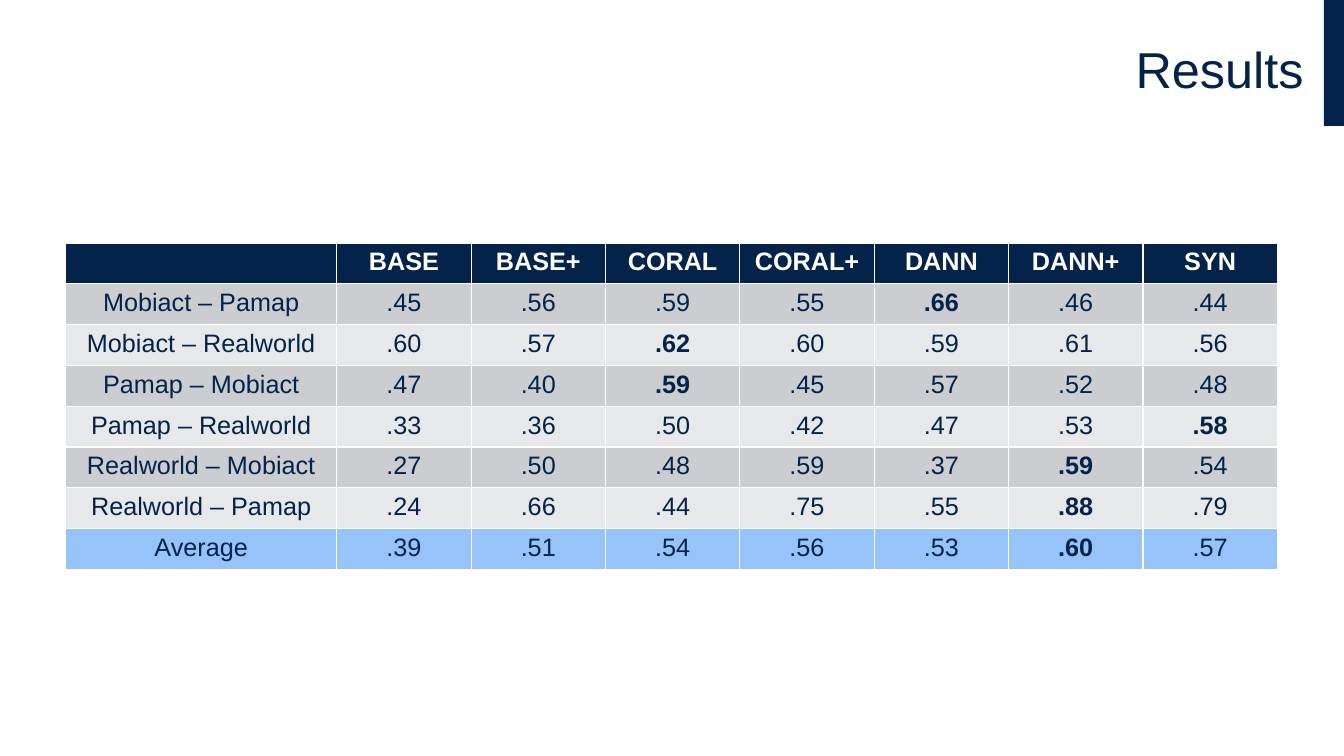
from dataclasses import dataclass

from pptx import Presentation
from pptx.dml.color import RGBColor
from pptx.enum.shapes import MSO_SHAPE
from pptx.enum.text import MSO_ANCHOR, PP_ALIGN
from pptx.util import Inches, Pt

NAVY = "03234B"
WHITE = "FFFFFF"
BLUE = "97C3FB"
BANDS = ("CCCDD0", "E7E8E9")

METHODS = ("BASE", "BASE+", "CORAL", "CORAL+", "DANN", "DANN+", "SYN")
TABLE_WIDTH, TABLE_HEIGHT, LABEL_WIDTH = 12.02, 3.24, 2.69


@dataclass(frozen=True)
class Result:
    label: str
    scores: str
    best: str


RESULTS = (
    Result("Mobiact – Pamap", ".45 .56 .59 .55 .66 .46 .44", "DANN"),
    Result("Mobiact – Realworld", ".60 .57 .62 .60 .59 .61 .56", "CORAL"),
    Result("Pamap – Mobiact", ".47 .40 .59 .45 .57 .52 .48", "CORAL"),
    Result("Pamap – Realworld", ".33 .36 .50 .42 .47 .53 .58", "SYN"),
    Result("Realworld – Mobiact", ".27 .50 .48 .59 .37 .59 .54", "DANN+"),
    Result("Realworld – Pamap", ".24 .66 .44 .75 .55 .88 .79", "DANN+"),
    Result("Average", ".39 .51 .54 .56 .53 .60 .57", "DANN+"),
)


def rgb(value: str) -> RGBColor:
    return RGBColor.from_string(value)


def write(tf, text: str, *, size: float = 18, color: str = NAVY,
          bold: bool = False, align=PP_ALIGN.CENTER):
    """Fill the first paragraph with one formatted run and return it."""
    p = tf.paragraphs[0]
    p.alignment = align
    r = p.add_run()
    r.text = text
    r.font.name = "Arial"
    r.font.size = Pt(size)
    r.font.bold = bold
    r.font.color.rgb = rgb(color)
    return p


def fill_cell(cell, text: str, fill: str, *, color: str = NAVY,
              bold: bool = False) -> None:
    cell.fill.solid()
    cell.fill.fore_color.rgb = rgb(fill)
    if text:
        write(cell.text_frame, text, color=color, bold=bold)


def add_title(s) -> None:
    title = s.shapes.title
    title.left, title.top = Inches(0.33), Inches(0)
    title.width, title.height = Inches(12.7), Inches(1.43)
    tf = title.text_frame
    tf.vertical_anchor = MSO_ANCHOR.MIDDLE
    write(tf, "Results", size=36, align=PP_ALIGN.RIGHT).line_spacing = 0.9


def add_corner_bar(s) -> None:
    bar = s.shapes.add_shape(MSO_SHAPE.RECTANGLE, Inches(13.13), Inches(0),
                             Inches(0.2), Inches(1.25))
    bar.shadow.inherit = False
    bar.fill.solid()
    bar.fill.fore_color.rgb = rgb(NAVY)
    bar.line.fill.background()


def add_results_table(s) -> None:
    table = s.shapes.add_table(
        len(RESULTS) + 1, len(METHODS) + 1, Inches(0.65), Inches(2.41),
        Inches(TABLE_WIDTH), Inches(TABLE_HEIGHT)).table
    score_width = (TABLE_WIDTH - LABEL_WIDTH) / len(METHODS)
    for i, column in enumerate(table.columns):
        column.width = Inches(score_width if i else LABEL_WIDTH)

    for i, heading in enumerate(("", *METHODS)):
        fill_cell(table.cell(0, i), heading, NAVY, color=WHITE, bold=True)
    for row, result in enumerate(RESULTS, start=1):
        fill = BLUE if row == len(RESULTS) else BANDS[(row - 1) % 2]
        fill_cell(table.cell(row, 0), result.label, fill)
        for i, (method, score) in enumerate(zip(METHODS, result.scores.split()), start=1):
            fill_cell(table.cell(row, i), score, fill, bold=method == result.best)


def main() -> None:
    prs = Presentation()
    prs.slide_width, prs.slide_height = Inches(13.33), Inches(7.5)
    s = prs.slides.add_slide(prs.slide_layouts[5])
    add_corner_bar(s)
    add_title(s)
    add_results_table(s)
    prs.save("out.pptx")


if __name__ == "__main__":
    main()
